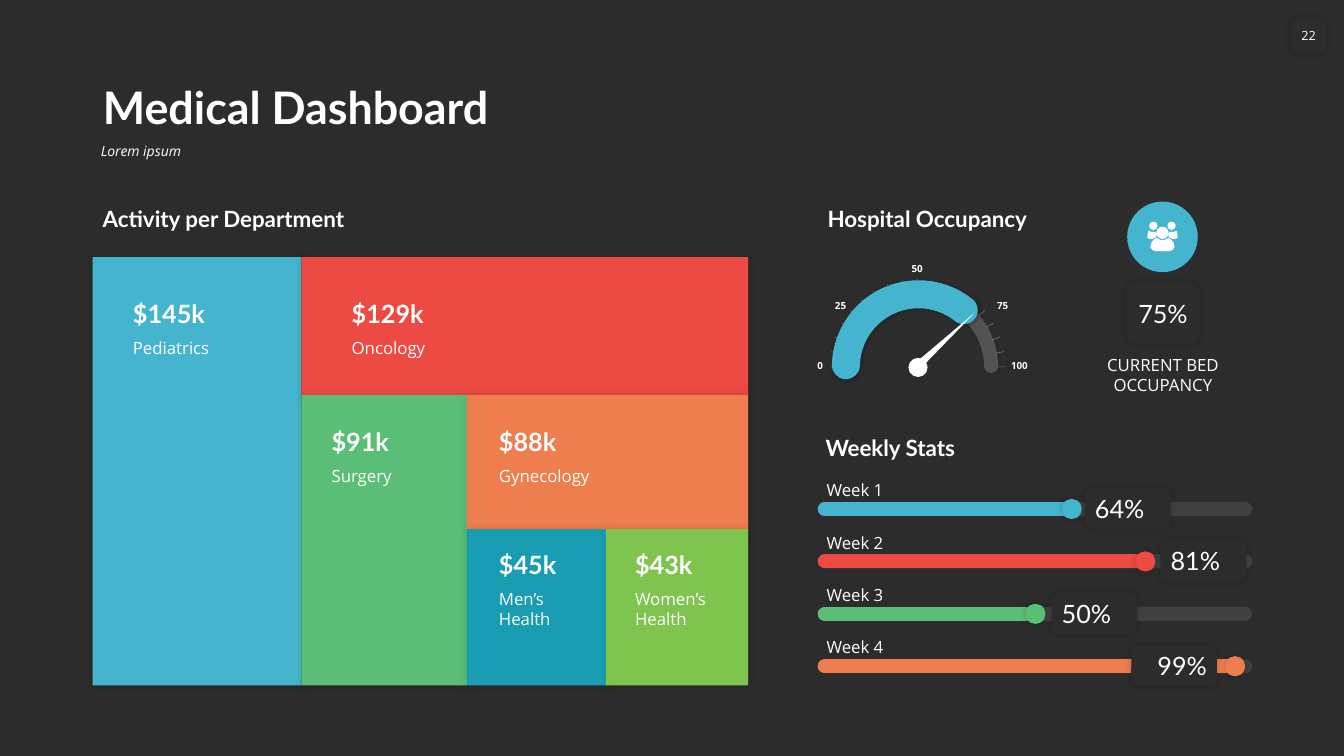
from dataclasses import dataclass
from math import cos, radians, sin

from lxml import etree
from pptx import Presentation, util as u
from pptx.dml.color import RGBColor
from pptx.enum import shapes, text
from pptx.oxml.ns import qn


@dataclass(frozen=True)
class Theme:
    """Colours, fonts, type formats and shadows of the dashboard."""
    back: str = "2C2C2C"
    white: str = "FFFFFF"
    blue: str = "45B5CF"
    red: str = "ED4A43"
    green: str = "5BBE77"
    orange: str = "EE7E4D"
    teal: str = "199DB3"
    lime: str = "7EC44E"
    title = {"name": "Lato", "size": u.Pt(32), "bold": True}
    heading = {"name": "Lato", "size": u.Pt(16), "bold": True}
    amount = {"name": "Lato", "size": u.Pt(18), "bold": True}
    percent = {"name": "Lato", "size": u.Pt(18), "bold": False}
    label = {"name": "Open Sans", "size": u.Pt(12), "bold": False}
    subtitle = {"name": "Open Sans", "size": u.Pt(10), "italic": True}
    number = {"name": "Open Sans", "size": u.Pt(9)}
    scale = {"name": "Open Sans", "size": u.Pt(7), "bold": True}
    soft = (20, 5, 0)
    tile = (15, 6, 1)
    arc = (30, 3, 1)


THEME = Theme()
KIND, ALIGN, ANCHOR = shapes.MSO_SHAPE, text.PP_ALIGN, text.MSO_ANCHOR
GROW = text.MSO_AUTO_SIZE.SHAPE_TO_FIT_TEXT
FIXED = text.MSO_AUTO_SIZE.NONE


def inches(*lengths):
    """Turn numbers into lengths."""
    return [u.Inches(length) for length in lengths]


def write(shape, words, font, align=ALIGN.LEFT, **frame_format):
    """Put one formatted paragraph into a shape."""
    frame = shape.text_frame
    frame.text = words
    for name, value in {"word_wrap": True, "auto_size": FIXED, **frame_format}.items():
        setattr(frame, name, value)
    paragraph = frame.paragraphs[0]
    paragraph.alignment = align
    for name, value in font.items():
        setattr(paragraph.font, name, value)
    paragraph.font.color.rgb = RGBColor.from_string(THEME.white)
    return paragraph


def add_text(parent, box, words, font, anchor=ANCHOR.TOP, **options):
    """Add a text box that fits its words."""
    shape = parent.add_textbox(*inches(*box))
    write(shape, words, font, vertical_anchor=anchor, auto_size=GROW, **options)


def add_heading(slide, left, top, words):
    """Add the heading of a region."""
    add_text(slide.shapes, (left, top, 4.34, 0.37), words, THEME.heading, ANCHOR.BOTTOM)


def cast_shadow(shape, shadow):
    """Replace the inherited shadow with opacity, blur and distance, or none."""
    properties = shape.element.spPr
    effects = properties.find(qn("a:effectLst"))
    if effects is None:
        effects = etree.SubElement(properties, qn("a:effectLst"))
    if shadow:
        opacity, blur, distance = shadow
        outer = etree.SubElement(effects, qn("a:outerShdw"), blurRad=str(u.Pt(blur)),
                                 dist=str(u.Pt(distance)), dir="2700000", algn="tl", rotWithShape="0")
        colour = etree.SubElement(outer, qn("a:srgbClr"), val="000000")
        etree.SubElement(colour, qn("a:alpha"), val=str(opacity * 1000))


def add_block(parent, kind, box, colour, shadow=None):
    """Add a filled preset shape without outline."""
    shape = parent.add_shape(kind, *inches(*box))
    shape.fill.solid()
    shape.fill.fore_color.rgb = RGBColor.from_string(colour)
    shape.line.fill.background()
    shape.shadow.inherit = False
    cast_shadow(shape, shadow)
    return shape


def stroke(shape, colour, width, opacity=100, cap="rnd"):
    """Format the line of an arc or connector."""
    shape.line.width = u.Pt(width)
    shape.line.color.rgb = RGBColor.from_string(colour)
    line = shape.element.spPr.find(qn("a:ln"))
    line.set("cap", cap)
    if opacity < 100:
        etree.SubElement(line.find(".//" + qn("a:srgbClr")), qn("a:alpha"), val=str(opacity * 1000))


def add_line(parent, ends, colour, width, opacity=100, cap="rnd"):
    """Add a straight line."""
    line = parent.add_connector(shapes.MSO_CONNECTOR.STRAIGHT, *inches(*ends))
    stroke(line, colour, width, opacity, cap)
    cast_shadow(line, None)


def add_chip(slide, box, words, align, inset):
    """Add a dark rounded box holding a percentage."""
    chip = add_block(slide.shapes, KIND.ROUNDED_RECTANGLE, box, THEME.back, THEME.soft)
    write(chip, words, THEME.percent, align, vertical_anchor=ANCHOR.MIDDLE,
          margin_left=u.Inches(inset), margin_right=u.Inches(inset))


def add_header(slide, left, top):
    """Fill the title and subtitle placeholders and add the page number."""
    title, subtitle = slide.placeholders
    for holder, box, words, font, anchor in (
            (title, (left, top, 11.5, 0.8), "Medical Dashboard", THEME.title, ANCHOR.BOTTOM),
            (subtitle, (left - 0.02, top + 0.8, 11.52, 0.36), "Lorem ipsum", THEME.subtitle, ANCHOR.TOP)):
        for name, value in zip(("left", "top", "width", "height"), inches(*box)):
            setattr(holder, name, value)
        paragraph = write(holder, words, font, vertical_anchor=anchor)
        properties = paragraph._p.get_or_add_pPr()
        properties.set("marL", "0")
        properties.set("indent", "0")
        properties.insert(0, etree.Element(qn("a:buNone")))
        paragraph.line_spacing = 0.9
        paragraph.space_before = u.Pt(0)
    number = add_block(slide.shapes, KIND.ROUNDED_RECTANGLE, (12.8, 0.18, 0.36, 0.35), THEME.back, THEME.soft)
    write(number, "22", THEME.number, ALIGN.CENTER, vertical_anchor=ANCHOR.MIDDLE,
          word_wrap=False, margin_left=0, margin_right=0)


def add_departments(slide, left, top):
    """Draw the department treemap with its amounts."""
    add_heading(slide, left, top, "Activity per Department")
    tiles = (
        ((0, 0.57, 2.07, 4.25), THEME.blue, "$145k", "Pediatrics", 0.3, 0.36, 1.86),
        ((2.07, 0.57, 4.43, 1.37), THEME.red, "$129k", "Oncology", 0.4, 0.36, 1.86),
        ((2.07, 1.94, 1.64, 2.88), THEME.green, "$91k", "Surgery", 0.2, 0.26, 1.29),
        ((3.71, 1.94, 2.79, 1.34), THEME.orange, "$88k", "Gynecology", 0.22, 0.26, 2.09),
        ((3.71, 3.27, 1.39, 1.55), THEME.teal, "$45k", "Men’s Health", 0.22, 0.15, 1.05),
        ((5.09, 3.27, 1.41, 1.55), THEME.lime, "$43k", "Women’s Health", 0.19, 0.15, 1.05))
    for (x, y, width, height), colour, *_ in tiles:
        add_block(slide.shapes, KIND.RECTANGLE, (left + x, top + y, width, height), colour, THEME.tile)
    for (x, y, *_), _, amount, name, indent, drop, width in tiles:
        x, y = left + x + indent, top + y + drop
        add_text(slide.shapes, (x, y, width, 0.4), amount, THEME.amount, ANCHOR.BOTTOM)
        add_text(slide.shapes, (x, y + 0.39, width, 0.5 if "Health" in name else 0.3), name, THEME.label)


def add_gauge(slide, left, top):
    """Draw the occupancy gauge."""
    add_heading(slide, left + 0.11, top, "Hospital Occupancy")
    gauge = slide.shapes.add_group_shape().shapes
    x, y = left + 1.1, top + 1.66

    def add_arc(start, end, colour, width, opacity):
        """Add an arc of the dial between two angles."""
        arc = gauge.add_shape(KIND.ARC, *inches(x - 0.71, y - 0.72, 1.44, 1.44))
        arc.adjustments[0], arc.adjustments[1] = start * 0.6, end * 0.6
        arc.fill.background()
        stroke(arc, colour, width, opacity)
        arc.shadow.inherit = False
        cast_shadow(arc, THEME.arc)

    add_arc(179.48, 359.3, THEME.white, 10, 20)
    add_block(gauge, KIND.OVAL, (x - 0.09, y - 0.09, 0.19, 0.19), THEME.white)
    for degrees in range(0, 181, 10):
        across, up = cos(radians(degrees)), sin(radians(degrees))
        ends = [value for radius in (0.87, 0.79) for value in (x + radius * across, y - radius * up)]
        add_line(gauge, ends, THEME.white, 0.5, 30, "flat")
    for words, dx, dy, width, align, anchor, wrap in (
            ("0", 0, 1.54, 0.26, ALIGN.RIGHT, ANCHOR.MIDDLE, False),
            ("25", 0.18, 0.94, 0.31, ALIGN.RIGHT, ANCHOR.MIDDLE, False),
            ("50", 0.94, 0.57, 0.31, ALIGN.RIGHT, ANCHOR.BOTTOM, False),
            ("75", 1.79, 0.94, 0.31, ALIGN.LEFT, ANCHOR.MIDDLE, False),
            ("100", 1.93, 1.54, 0.45, ALIGN.LEFT, ANCHOR.MIDDLE, True)):
        add_text(gauge, (left + dx, top + dy, width, 0.22), words, THEME.scale, anchor,
                 align=align, word_wrap=wrap)
    add_arc(181.33, 308.66, THEME.blue, 20, 100)
    needle = add_block(slide.shapes, KIND.ISOSCELES_TRIANGLE, (x + 0.23, y - 0.67, 0.08, 0.82), THEME.white)
    needle.rotation = 47


def add_people(slide, x, y):
    """Draw three people around a centre line and a top edge."""
    torso = [(-0.06, 0.16), (-0.09, 0.18), (-0.11, 0.21), (-0.12, 0.25), (-0.1, 0.28), (-0.07, 0.29)]
    arm = [(-0.06, 0.15), (-0.1, 0.17), (-0.13, 0.17), (-0.15, 0.16), (-0.15, 0.14),
           (-0.14, 0.09), (-0.11, 0.1), (-0.07, 0.1), (-0.06, 0.12)]
    front = torso + [(-dx, dy) for dx, dy in reversed(torso)] + [(0.02, 0.18), (-0.02, 0.18)]
    outlines = [front, arm, [(-dx, dy) for dx, dy in arm]]
    for dx, dy, radius in ((-0.09, 0.04, 0.04), (0, 0.11, 0.06), (0.09, 0.04, 0.04)):
        outlines.append([(dx + radius * cos(radians(a)), dy + radius * sin(radians(a)))
                         for a in range(0, 360, 15)])
    outlines = [[inches(x + dx, y + dy) for dx, dy in outline] for outline in outlines]
    builder = slide.shapes.build_freeform(*outlines[0][0])
    builder.add_line_segments(outlines[0][1:])
    for first, *rest in outlines[1:]:
        builder.move_to(*first)
        builder.add_line_segments(rest)
    people = builder.convert_to_shape()
    people.fill.solid()
    people.fill.fore_color.rgb = RGBColor.from_string(THEME.white)
    people.line.fill.background()
    people.shadow.inherit = False


def add_occupancy(slide, left, top):
    """Show the current bed occupancy under its icon."""
    add_chip(slide, (left + 0.37, top + 0.8, 0.73, 0.61), "75%", ALIGN.CENTER, 0)
    add_text(slide.shapes, (left, top + 1.47, 1.47, 0.5), "CURRENT BED OCCUPANCY", THEME.label,
             align=ALIGN.CENTER, margin_left=u.Inches(0.04), margin_right=u.Inches(0.04))
    add_block(slide.shapes, KIND.OVAL, (left + 0.38, top, 0.7, 0.7), THEME.blue)
    add_people(slide, left + 0.73, top + 0.2)


def add_weeks(slide, left, top):
    """Draw one progress bar for each week."""
    add_heading(slide, left, top, "Weekly Stats")
    weeks = ((64, THEME.blue, 2.51, 2.44, 2.67), (81, THEME.red, 3.17, 3.17, 3.42),
             (50, THEME.green, 2.08, 2.08, 2.34), (99, THEME.orange, 4.18, 4.06, 3.13))
    for index, (percent, colour, end, dot, chip) in enumerate(weeks):
        start, y = left + 0.09, top + 0.8 + index * 0.52
        add_text(slide.shapes, (left + 0.01, y - 0.34, 1.94, 0.3), f"Week {index + 1}",
                 THEME.label, ANCHOR.BOTTOM)
        add_line(slide.shapes, (start, y, left + 4.26, y), THEME.white, 10, 10)
        add_line(slide.shapes, (start, y, left + end, y), colour, 10)
        add_block(slide.shapes, KIND.OVAL, (left + dot, y - 0.1, 0.2, 0.2), colour, THEME.soft)
        add_chip(slide, (left + chip, y - 0.21, 0.85, 0.41), f"{percent}%",
                 ALIGN.RIGHT if chip < dot else ALIGN.LEFT, 0.08)


def main():
    """Build and save the dashboard."""
    presentation = Presentation()
    presentation.slide_width, presentation.slide_height = inches(13.33, 7.5)
    slide = presentation.slides.add_slide(presentation.slide_layouts[1])
    slide.background.fill.solid()
    slide.background.fill.fore_color.rgb = RGBColor.from_string(THEME.back)
    add_header(slide, 0.92, 0.58)
    add_departments(slide, 0.92, 1.98)
    add_gauge(slide, 8, 1.98)
    add_occupancy(slide, 10.8, 2)
    add_weeks(slide, 8.09, 4.25)
    presentation.save("out.pptx")


if __name__ == "__main__":
    main()
